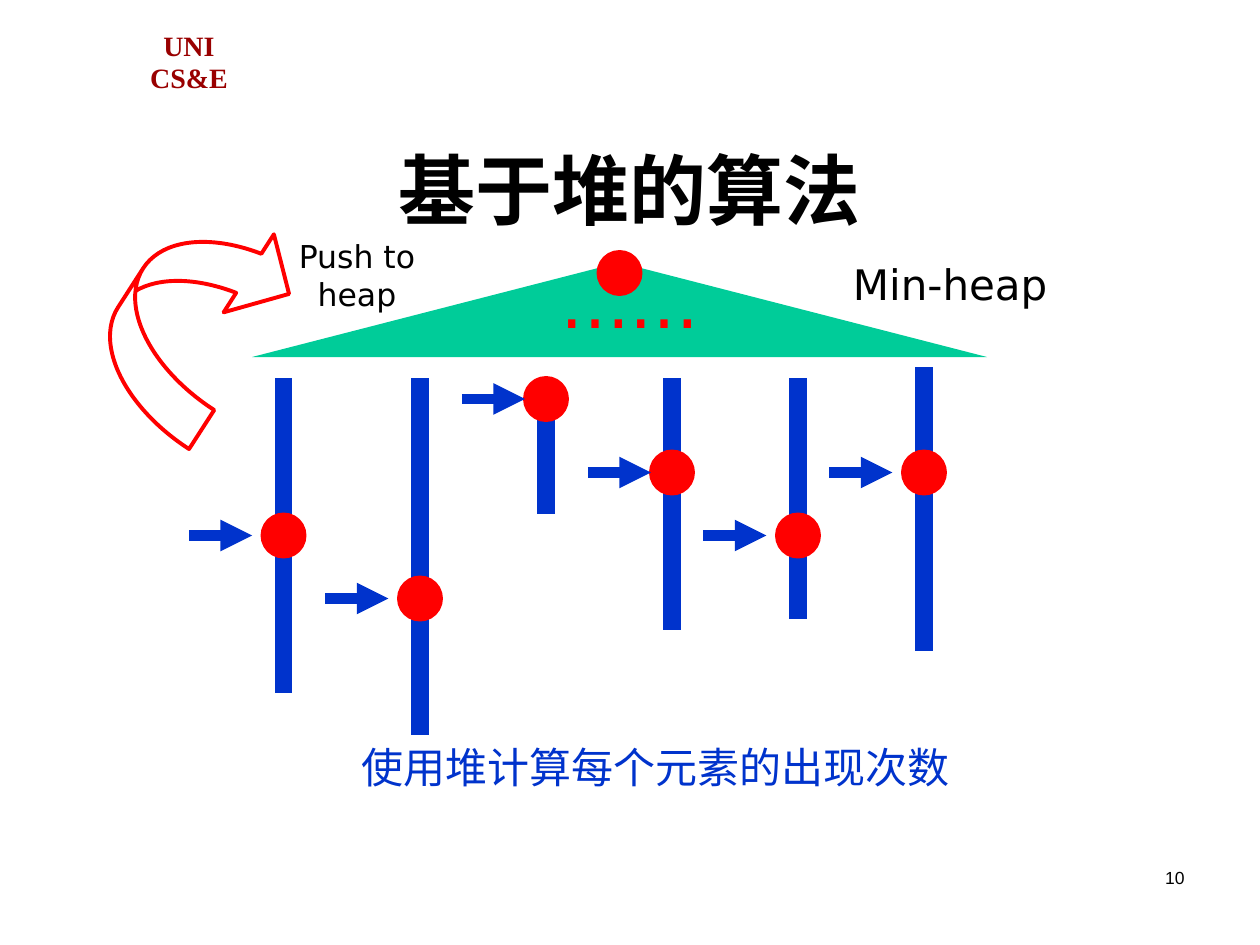
from lxml import etree
from pptx import Presentation
from pptx.dml.color import RGBColor
from pptx.enum.shapes import MSO_CONNECTOR, MSO_SHAPE
from pptx.enum.text import MSO_ANCHOR, MSO_AUTO_SIZE, PP_ALIGN
from pptx.oxml.ns import qn
from pptx.util import Inches, Pt

STRAIGHT = MSO_CONNECTOR.STRAIGHT
TRIANGLE, OVAL = MSO_SHAPE.ISOSCELES_TRIANGLE, MSO_SHAPE.OVAL
CURVED_ARROW = MSO_SHAPE.CURVED_LEFT_ARROW
CENTER, RIGHT = PP_ALIGN.CENTER, PP_ALIGN.RIGHT
TOP, MIDDLE, BOTTOM = MSO_ANCHOR.TOP, MSO_ANCHOR.MIDDLE, MSO_ANCHOR.BOTTOM
RED, BLUE, GREEN, BLACK, MAROON = "FF0000", "0033CC", "00CC99", "000000", "990000"
SANS = "DejaVu Sans"
COLS_PER_INCH = 12
NODE = 4
POINTER = 6

# column x, list top, list bottom, current node y, gap from pointer to list
LISTS = [
    (27, 36, 66, 51, 3),
    (40, 36, 70, 57, 3),
    (52, 36, 49, 38, 2),
    (64, 36, 60, 45, 2),
    (76, 36, 59, 51, 3),
    (88, 35, 62, 45, 3),
]


def color(value):
    return RGBColor.from_string(value)


def grid(*cells):
    return [Inches(cell / COLS_PER_INCH) for cell in cells]


def format_text(tf, text, size, font, fill, bold=False, align=CENTER, anchor=TOP):
    tf.text = text
    tf.word_wrap = True
    tf.auto_size = MSO_AUTO_SIZE.NONE
    tf.vertical_anchor = anchor
    p = tf.paragraphs[0]
    p.alignment = align
    for r in p.runs:
        r.font.size = Pt(size)
        r.font.name = font
        r.font.bold = bold
        r.font.color.rgb = color(fill)
    return p


def add_text(s, box, text, size, font, fill, before=0, **style):
    tf = s.shapes.add_textbox(*grid(*box)).text_frame
    p = format_text(tf, text, size, font, fill, **style)
    p.space_before = Pt(before)
    return p


def add_shape(s, kind, box, fill=None, line=None):
    sp = s.shapes.add_shape(kind, *grid(*box))
    sp.shadow.inherit = False
    if fill:
        sp.fill.solid()
        sp.fill.fore_color.rgb = color(fill)
    else:
        sp.fill.background()
    if line:
        sp.line.color.rgb = color(line)
        sp.line.width = Pt(2.25)
    else:
        sp.line.fill.background()
    return sp


def add_line(s, ends, width, arrow=False):
    cx = s.shapes.add_connector(STRAIGHT, *grid(*ends))
    cx.line.color.rgb = color(BLUE)
    cx.line.width = Pt(width)
    sp_pr = cx._element.spPr
    if arrow:
        etree.SubElement(sp_pr.find(qn("a:ln")), qn("a:tailEnd"), type="triangle")
    etree.SubElement(sp_pr, qn("a:effectLst"))


def add_node(s, x, y):
    add_shape(s, OVAL, (x - NODE / 2, y - NODE / 2, NODE, NODE), RED, RED)


def add_list(s, x, top, bottom, y, gap):
    add_line(s, (x, top, x, bottom), 10)
    add_node(s, x, y)
    add_line(s, (x - gap - POINTER, y, x - gap, y), 6, arrow=True)


def add_push_arrow(s):
    sp = add_shape(s, CURVED_ARROW, (12, 19, 13, 22), line=RED)
    sp.rotation = 212.8
    for i, value in enumerate((0.34, 0.68, 0.33)):
        sp.adjustments[i] = value


def add_title(s, text):
    title = s.shapes.title
    title.left, title.top, title.width, title.height = grid(9, 8, 102, 15)
    format_text(title.text_frame, text, 44, "Arial", BLACK, bold=True, anchor=BOTTOM)


def main():
    prs = Presentation()
    prs.slide_width, prs.slide_height = Inches(10), Inches(7.5)
    s = prs.slides.add_slide(prs.slide_layouts[5])

    header = add_text(s, (12, 2.3, 12, 7.3), "UNI\vCS&E", 16, "Times New Roman",
                      MAROON, bold=True, anchor=MIDDLE)
    header.line_spacing = 0.95
    add_title(s, "基于堆的算法")

    add_shape(s, TRIANGLE, (24, 25, 70, 9), GREEN)
    add_text(s, (77, 24, 27, 6), "Min-heap", 24, SANS, BLACK, before=15)
    add_text(s, (33.2, 70, 58.4, 6), "使用堆计算每个元素的出现次数", 24, SANS, BLUE)
    add_push_arrow(s)
    add_text(s, (25, 22, 18, 8.4), "Push to heap", 18, SANS, BLACK, before=11.2)

    for column in LISTS:
        add_list(s, *column)

    add_node(s, 59, 26)
    add_text(s, (47, 24, 26, 9.2), "……", 40, SANS, RED, before=25)
    add_text(s, (86, 82, 28, 6), "10", 10, "Arial", BLACK, align=RIGHT)
    prs.save("out.pptx")


if __name__ == "__main__":
    main()
